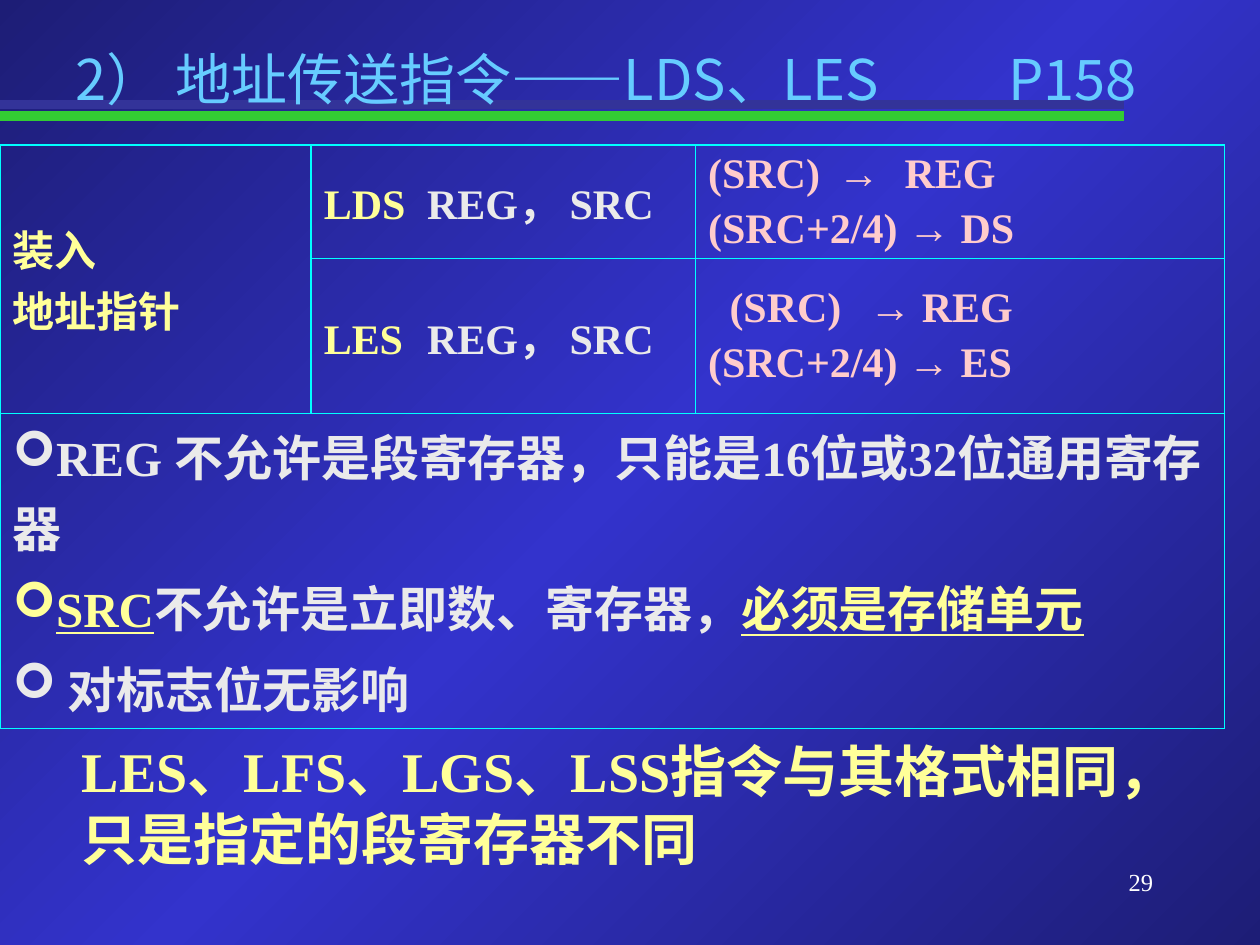
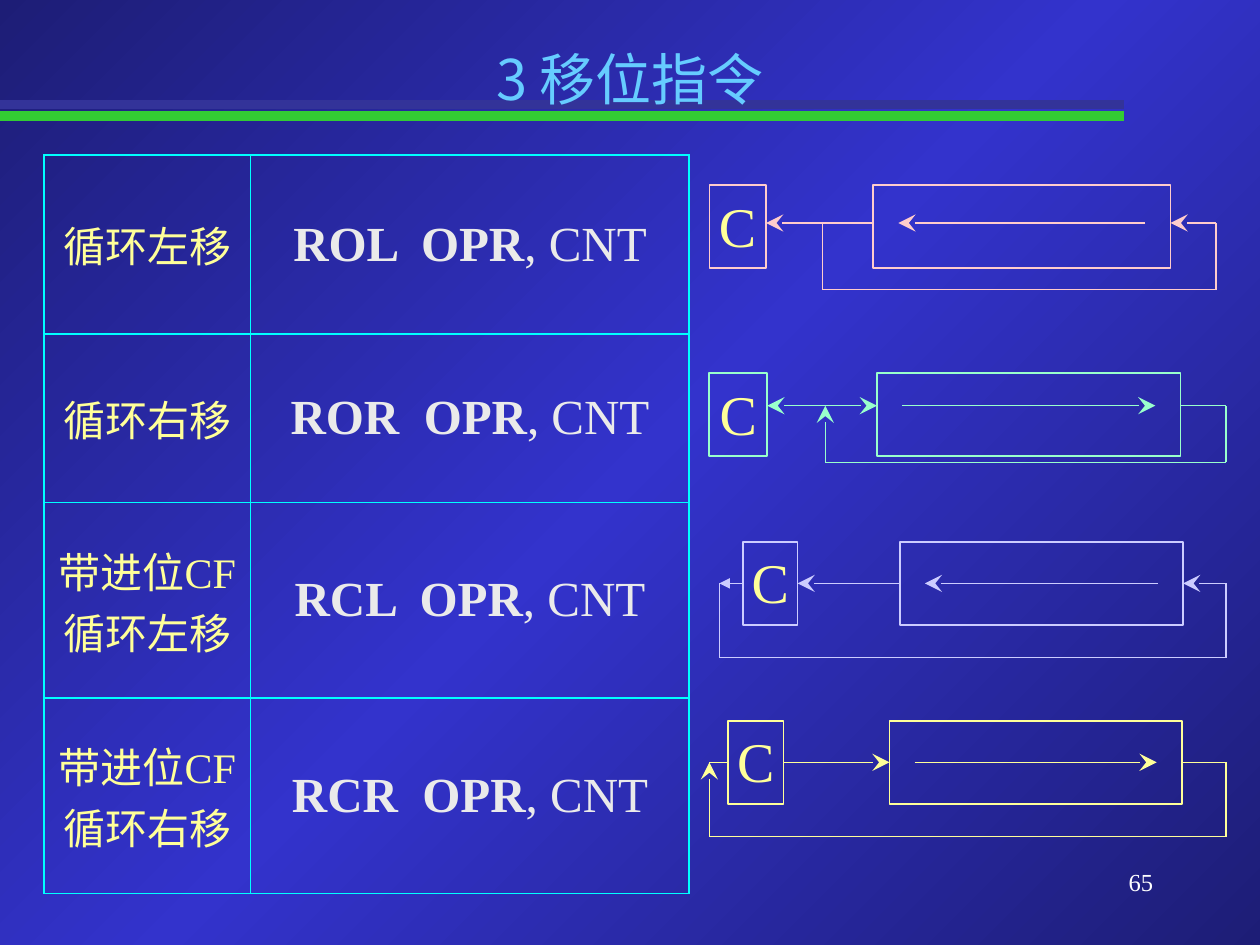
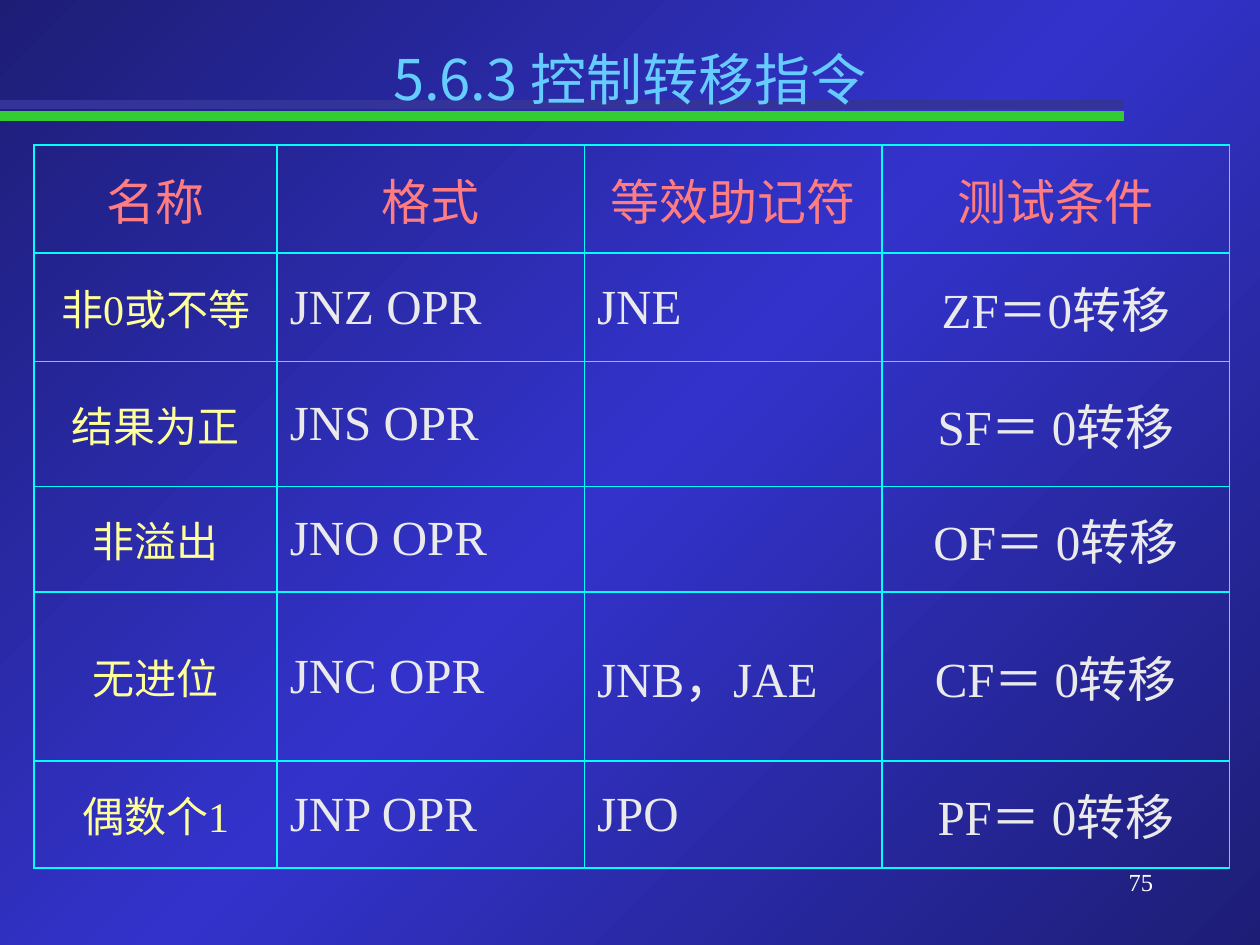
"""Build three slides on processor instructions: pointer loads, shifts and conditional jumps."""
import dataclasses

import lxml.etree
import pptx
import pptx.dml.color
import pptx.enum.shapes
import pptx.enum.text
import pptx.oxml.ns
import pptx.util


@dataclasses.dataclass(frozen=True)
class Theme:
    serif: str = "Times New Roman"
    sans: str = "Noto Sans CJK SC"
    symbols: str = "Wingdings"
    edge: str = "1D1D76"
    middle: str = "3333CC"
    green: str = "33CC33"
    indigo: str = "333399"
    sky: str = "66CCFF"
    white: str = "FFFFFF"
    pale: str = "EAEAEA"
    yellow: str = "FFFF99"
    pink: str = "FFCCCC"
    coral: str = "FF7C80"
    mint: str = "99FFCC"
    lilac: str = "CCCCFF"
    cyan: str = "00FFFF"
    headline: int = 32
    large: int = 28
    medium: int = 24
    small: int = 14


THEME = Theme()
RGB = pptx.dml.color.RGBColor.from_string
LEFT = pptx.enum.text.PP_ALIGN.LEFT
CENTER = pptx.enum.text.PP_ALIGN.CENTER
RIGHT = pptx.enum.text.PP_ALIGN.RIGHT
MIDDLE = pptx.enum.text.MSO_ANCHOR.MIDDLE
qn = pptx.oxml.ns.qn

presentation = pptx.Presentation()
presentation.slide_width = pptx.util.Inches(10)
presentation.slide_height = pptx.util.Inches(7.5)
MODULE = presentation.slide_width // 10


def write(paragraph, pieces, size, color, align=LEFT, bold=False, font=THEME.serif, tabs=(), bullet=None):
    """Fill a paragraph with runs that share one font."""
    for piece in pieces:
        if piece == "\v":
            paragraph.add_line_break()
        else:
            paragraph.add_run().text = piece
    paragraph.alignment = align
    properties = paragraph._p.get_or_add_pPr()
    properties.set("hangingPunct", "0")
    if bullet:
        lxml.etree.SubElement(properties, qn("a:buFont"), typeface=THEME.symbols)
        lxml.etree.SubElement(properties, qn("a:buChar"), char=bullet)
    if tabs:
        stops = lxml.etree.SubElement(properties, qn("a:tabLst"))
        for position in tabs:
            lxml.etree.SubElement(stops, qn("a:tab"), pos=str(round(position * MODULE)), algn="l")
    paragraph.font.name = font
    paragraph.font.size = pptx.util.Pt(size)
    paragraph.font.bold = bold
    paragraph.font.color.rgb = RGB(color)
    east_asian = lxml.etree.Element(qn("a:ea"), typeface=THEME.sans)
    properties.find(qn("a:defRPr")).find(qn("a:latin")).addnext(east_asian)


def draw_line(slide, start, end, color, width, arrow=None):
    """Draw a straight line between grid points, with an arrowhead at its end if asked."""
    points = [round(value * MODULE) for value in (*start, *end)]
    line = slide.shapes.add_connector(pptx.enum.shapes.MSO_CONNECTOR.STRAIGHT, *points)
    line.line.color.rgb = RGB(color)
    line.line.width = pptx.util.Pt(width)
    if arrow:
        reach = "lg" if arrow == "stealth" else "med"
        outline = line.line._get_or_add_ln()
        lxml.etree.SubElement(outline, qn("a:tailEnd"), type=arrow, w=reach, len=reach)
    lxml.etree.SubElement(line._element.spPr, qn("a:effectLst"))
    return line


background = presentation.slide_master.background.fill
background.gradient()
background.gradient_angle = 315
stop_list = background._fill._gradFill.find(qn("a:gsLst"))
for stop in list(stop_list):
    stop_list.remove(stop)
for position, color in ((0, THEME.edge), (50000, THEME.middle), (100000, THEME.edge)):
    stop = lxml.etree.SubElement(stop_list, qn("a:gs"), pos=str(position))
    lxml.etree.SubElement(stop, qn("a:srgbClr"), val=color)

pages = [
    (["2） 地址传送指令", "——", "LDS、LES\tP158"], LEFT, "29",
     (0, 1.15), (2.47, 3.05, 4.2), (0.9, 1.23, 2.5), 3),
    (["3 移位指令"], CENTER, "65",
     (0.35, 1.23), (1.64, 3.48, 4.53), (1.42, 1.34, 1.55, 1.55), 2),
    (["5.6.3 控制转移指令"], CENTER, "75",
     (0.27, 1.15), (1.93, 2.44, 2.36, 2.76), (0.86, 0.86, 0.99, 0.84, 1.34, 0.85), 4),
]
slides, tables = [], []
for heading, align, number, corner, columns, rows, ruled_columns in pages:
    slide = presentation.slides.add_slide(presentation.slide_layouts[5])
    slides.append(slide)
    for height, color in ((0.92, THEME.green), (0.83, THEME.indigo)):
        draw_line(slide, (0, height), (8.92, height), color, 5.5)

    page_number = slide.shapes.add_textbox(*[round(value * MODULE) for value in (7.17, 6.83, 2.08, 0.5)])
    page_number.text_frame.word_wrap = True
    write(page_number.text_frame.paragraphs[0], [number], THEME.small, THEME.white, RIGHT)

    title = slide.shapes.title
    slide.shapes._spTree.append(title._element)
    title.left, title.top, title.width, title.height = [
        round(value * MODULE) for value in (0.5, 0.3, 9, 1.25)]
    title.text_frame.auto_size = pptx.enum.text.MSO_AUTO_SIZE.NONE
    title.text_frame.vertical_anchor = pptx.enum.text.MSO_ANCHOR.TOP
    tabs = (7.4,) if align == LEFT else ()
    write(title.text_frame.paragraphs[0], heading, THEME.headline, THEME.sky, align, font=THEME.sans, tabs=tabs)

    frame = [round(value * MODULE) for value in (*corner, sum(columns), sum(rows))]
    table = slide.shapes.add_table(len(rows), len(columns), *frame).table
    tables.append(table)
    table.first_row = table.horz_banding = False
    table._tbl.tblPr.find(qn("a:tableStyleId")).text = "{2D5ABB26-0587-4C30-8999-92F81FD0307C}"
    for column, width in zip(table.columns, columns):
        column.width = round(width * MODULE)
    for row, height in zip(table.rows, rows):
        row.height = round(height * MODULE)
        for index, cell in enumerate(row.cells):
            cell.vertical_anchor = MIDDLE
            cell.fill.background()
            if index >= ruled_columns:
                continue
            for order, side in enumerate(("a:lnL", "a:lnR", "a:lnT", "a:lnB")):
                border = lxml.etree.Element(qn(side), w=str(pptx.util.Pt(1)))
                fill = lxml.etree.SubElement(border, qn("a:solidFill"))
                lxml.etree.SubElement(fill, qn("a:srgbClr"), val=THEME.cyan)
                cell._tc.get_or_add_tcPr().insert(order, border)

pointer_slide, shift_slide, jump_slide = slides
pointer_table, shift_table, jump_table = tables

pointer_slide.shapes.title.text_frame.paragraphs[0].runs[1].font.name = THEME.serif

pointer_table.cell(0, 0).merge(pointer_table.cell(1, 0))
pointer_table.cell(2, 0).merge(pointer_table.cell(2, 2))
write(pointer_table.cell(0, 0).text_frame.paragraphs[0], ["装入", "\v", "地址指针"],
      THEME.medium, THEME.yellow, bold=True)
loads = [
    ("LDS", "(SRC)\t→\tREG", (1.03, 1.56), "(SRC+2/4) → DS"),
    ("LES", "\t(SRC)\t→ REG", (0.17, 1.28), "(SRC+2/4) → ES"),
]
for row, (mnemonic, offset, tabs, segment) in enumerate(loads):
    paragraph = pointer_table.cell(row, 1).text_frame.paragraphs[0]
    write(paragraph, [mnemonic, "\tREG， SRC"], THEME.medium, THEME.pale, bold=True, tabs=(0.82,))
    paragraph.runs[0].font.color.rgb = RGB(THEME.yellow)
    effect_cell = pointer_table.cell(row, 2)
    effect_cell.margin_top = effect_cell.margin_bottom = round(0.02 * MODULE)
    effect = effect_cell.text_frame
    write(effect.paragraphs[0], [offset], THEME.medium, THEME.pink, bold=True, tabs=tabs)
    paragraph = effect.add_paragraph()
    write(paragraph, [segment], THEME.medium, THEME.pink, bold=True)
    paragraph.space_before = pptx.util.Pt(0.2 * THEME.medium)

rules = [
    ["REG 不允许是段寄存器，只能是16位或32位通用寄存器"],
    ["SRC", "不允许是立即数、寄存器，", "必须是存储单元"],
    [" 对标志位无影响"],
]
rule_frame = pointer_table.cell(2, 0).text_frame
pointer_table.cell(2, 0).vertical_anchor = pptx.enum.text.MSO_ANCHOR.TOP
for index, pieces in enumerate(rules):
    paragraph = rule_frame.add_paragraph() if index else rule_frame.paragraphs[0]
    write(paragraph, pieces, THEME.large, THEME.pale, bold=True, bullet="➢")
    if index:
        paragraph.space_before = pptx.util.Pt(0.2 * THEME.large)
for run in rule_frame.paragraphs[1].runs[::2]:
    run.font.color.rgb = RGB(THEME.yellow)
    run.font.underline = True

summary = pointer_slide.shapes.add_textbox(*[round(value * MODULE) for value in (0.55, 5.8, 9.25, 1.17)])
summary.text_frame.word_wrap = True
write(summary.text_frame.paragraphs[0], ["LES、LFS、LGS、LSS指令与其格式相同，", "\v", "只是指定的段寄存器不同"],
      THEME.headline, THEME.yellow, bold=True)

shifts = [("循环左移", "ROL"), ("循环右移", "ROR"), ("带进位CF循环左移", "RCL"), ("带进位CF循环右移", "RCR")]
for row, (name, mnemonic) in enumerate(shifts):
    write(shift_table.cell(row, 0).text_frame.paragraphs[0], [name], THEME.medium, THEME.yellow, CENTER)
    paragraph = shift_table.cell(row, 1).text_frame.paragraphs[0]
    write(paragraph, [f"{mnemonic}  OPR", ", CNT"], THEME.large, THEME.pale, CENTER)
    paragraph.runs[0].font.bold = True

BOX_HEIGHT = 0.66
circuits = [
    (THEME.pink, True, 1.47, 0.3, 2.3, 5.63, 0.45, 6.93, 2.36, 6.53, 6.53, 9.65),
    (THEME.mint, False, 2.96, 0.26, 3.67, 5.63, 0.46, 6.96, 2.41, 6.55, 6.55, 9.73),
    (THEME.lilac, True, 4.3, 0.33, 5.22, 5.9, 0.43, 7.14, 2.25, 6.76, 5.71, 9.73),
    (THEME.yellow, False, 5.72, 0.33, 6.64, 5.78, 0.44, 7.06, 2.32, 6.67, 5.63, 9.73),
]
for (color, leftward, top, drop, bottom, carry_left, carry_width,
     register_left, register_width, joint, tap, far_right) in circuits:
    boxes = []
    for left, width in ((register_left, register_width), (carry_left, carry_width)):
        frame = [round(value * MODULE) for value in (left, top, width, BOX_HEIGHT)]
        box = shift_slide.shapes.add_shape(pptx.enum.shapes.MSO_SHAPE.RECTANGLE, *frame)
        box.shadow.inherit = False
        box.fill.background()
        box.line.color.rgb = RGB(color)
        box.line.width = pptx.util.Pt(1)
        boxes.append(box)
    register, carry = boxes
    carry.text_frame.word_wrap = False
    carry.text_frame.vertical_anchor = pptx.enum.text.MSO_ANCHOR.TOP
    write(carry.text_frame.paragraphs[0], ["C"], THEME.headline, THEME.yellow, CENTER)

    axis = top + drop
    register_right = register_left + register_width
    carry_right = carry_left + carry_width
    through_carry = tap != joint
    left_arrow = "stealth" if leftward else None
    right_arrow = None if leftward else "stealth"
    inner = [(register_left + 0.2, axis), (register_right - 0.2, axis)]
    if leftward:
        inner.reverse()
    wires = [
        (*inner, "stealth"),
        ((joint, axis), (register_left, axis), right_arrow),
        ((joint, axis), (carry_right, axis), left_arrow if through_carry else "stealth"),
        ((tap, bottom), (tap, axis), right_arrow),
        ((tap, bottom), (far_right, bottom), None),
        ((far_right, bottom), (far_right, axis), None),
        ((far_right, axis), (register_right, axis), left_arrow),
    ]
    if through_carry:
        wires.append(((carry_left, axis), (tap, axis), "triangle" if leftward else None))
    ports = {}
    if drop == BOX_HEIGHT / 2:
        ports = {
            (register_left, axis): (register, 1), (register_right, axis): (register, 3),
            (carry_left, axis): (carry, 1), (carry_right, axis): (carry, 3),
        }
    for start, end, arrow in wires:
        wire = draw_line(shift_slide, start, end, color, 0.75, arrow)
        if start in ports:
            wire.begin_connect(*ports[start])
        if end in ports:
            wire.end_connect(*ports[end])

for cell, text in zip(jump_table.rows[0].cells, ("名称", "格式", "等效助记符", "测试条件")):
    write(cell.text_frame.paragraphs[0], [text], THEME.large, THEME.coral, CENTER)
jumps = [
    ("非0或不等", "JNZ OPR", "JNE", "ZF＝0转移"),
    ("结果为正", "JNS OPR", "", "SF＝ 0转移"),
    ("非溢出", "JNO OPR", "", "OF＝ 0转移"),
    ("无进位", "JNC OPR", "JNB，JAE", "CF＝ 0转移"),
    ("偶数个1", "JNP OPR", "JPO", "PF＝ 0转移"),
]
jump_styles = [
    (THEME.medium, THEME.yellow, CENTER),
    (THEME.large, THEME.pale, LEFT),
    (THEME.large, THEME.pale, LEFT),
    (THEME.large, THEME.pale, CENTER),
]
for row, texts in enumerate(jumps, start=1):
    for column, (text, style) in enumerate(zip(texts, jump_styles)):
        if text:
            write(jump_table.cell(row, column).text_frame.paragraphs[0], [text], *style)

presentation.save("out.pptx")
